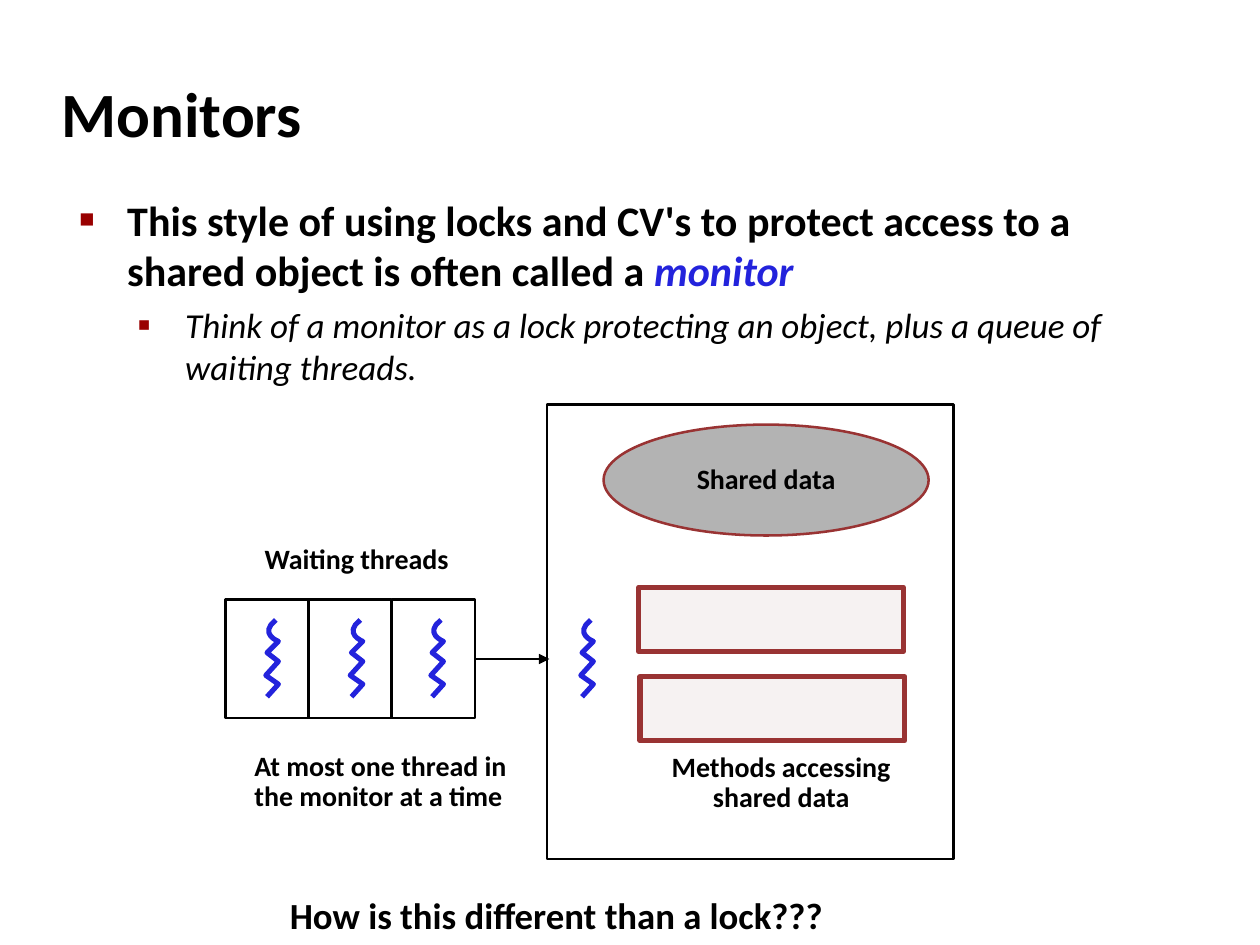
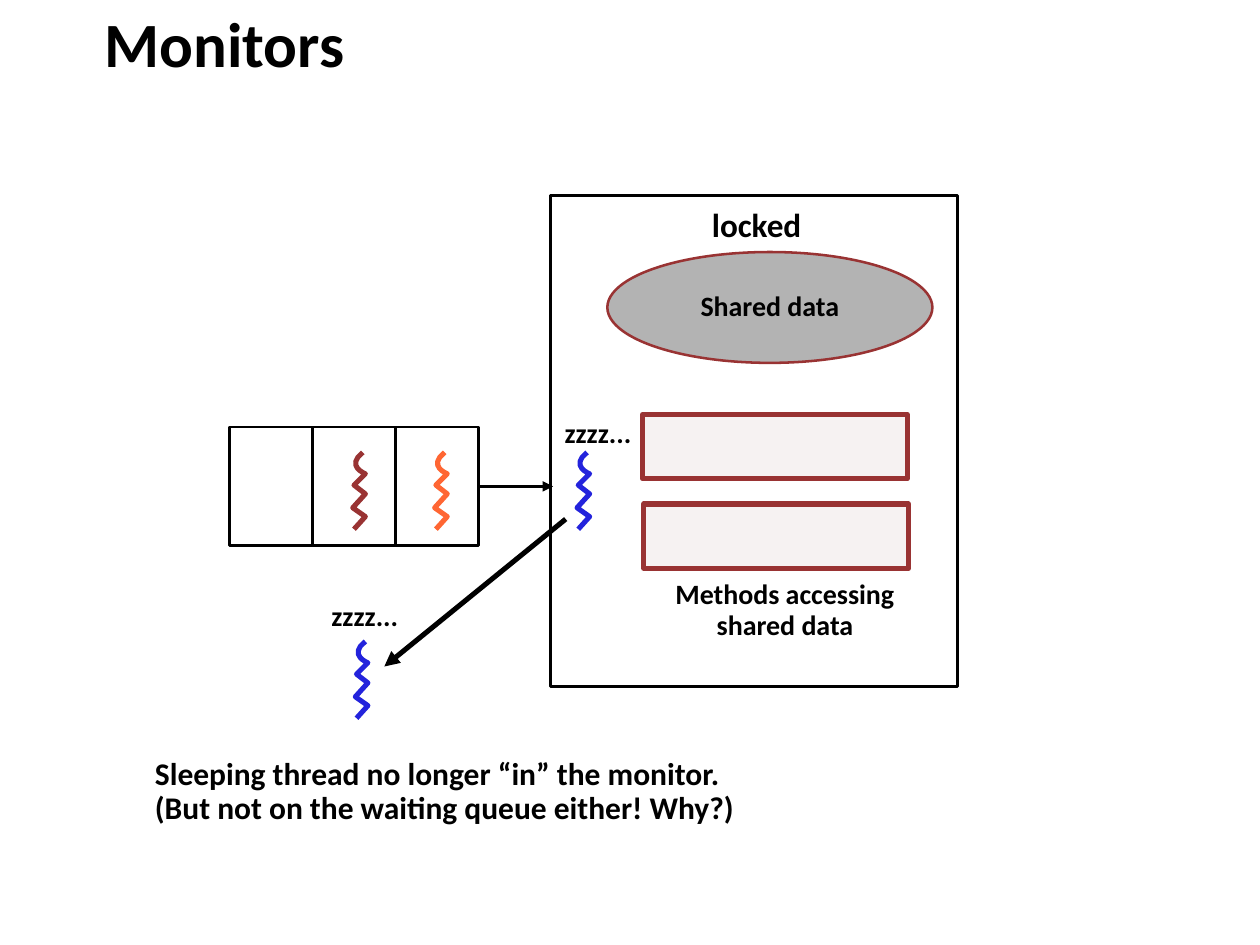
from pptx import Presentation
from pptx.dml.color import RGBColor
from pptx.enum.shapes import MSO_CONNECTOR as Conn, MSO_SHAPE as Kind
from pptx.enum.text import MSO_ANCHOR as Anchor, MSO_AUTO_SIZE as Auto, PP_ALIGN as Align
from pptx.oxml.ns import qn
from pptx.util import Inches, Pt
from lxml.etree import SubElement

# Shared style
FONT = "Calibri"
BLACK, BLUE, RED, ORANGE = "000000", "2323DC", "993333", "FF6633"
GREY, PALE, BULLET = "B3B3B3", "F6F2F2", "990000"
THIN, THICK = 1.45, 2.89

# Monitor diagram, measured from the top left of the queue
CELL = (0.66, 0.94)
CELLS = 3
BOX_X, BOX_W, BOX_END = 2.55, 3.23, 2.06
DATA = (3, -1.39, 2.58, 0.88)
METHODS = [(3.28, -0.1), (3.29, 0.61)]
METHOD = (2.1, 0.51)
LABEL = (3.35, 1.18, 2.12, 0.6)
# Squiggle: a hook as a curve, then a zigzag
HOOK = [(0.14, 0), (0, 0.11), (0.16, 0.17), (0.16, 0.17)]
ZIGZAG = [(0.07, 0.26), (0.16, 0.33), (0.06, 0.44), (0.16, 0.51), (0.07, 0.61)]

# Bullets: level, indent, size, space before, mark, mark size, runs
POINTS = [
    (0, 0.48, 24, 6, "■", 60, [
        ("This style of using locks and CV's to protect access to a "
         "shared object is often called a ", BLACK, True, False),
        ("monitor", BLUE, True, True)]),
    (1, 0.94, 20, 5, "▪", 110, [
        ("Think of a monitor as a lock protecting an object, plus a queue of "
         "waiting threads.", BLACK, False, True)]),
]

# Threads: offset and colour; notes: place, text, size, line spacing
SLIDES = [
    dict(title=(0.39, 0.48, 8.3, 0.83), body=(0.43, 1.49, 8.64, 5.44),
         points=POINTS, queue=(1.79, 4.76), rise=1.55,
         threads=[(x, 0.16, BLUE) for x in (0.26, 0.93, 1.57, 2.76)],
         notes=[((2.01, 4.29, 1.98, 0.35), "Waiting threads", 16, 0.9),
                ((1.93, 5.93, 2.33, 0.85),
                 "At most one thread in the monitor at a time", 16, 0.9),
                ((2.21, 7.04, 4.86, 0.46),
                 "How is this different than a lock???", 21, 1.02)],
         arrows=[]),
    dict(title=(0.73, 0.1, 8.54, 0.47), points=[],
         queue=(1.82, 3.39), rise=1.84,
         threads=[(0.92, 0.2, RED), (1.57, 0.2, ORANGE),
                  (2.7, 0.2, BLUE), (0.94, 1.7, BLUE)],
         notes=[((5.56, 1.61, 1.18, 0.37), "locked", 19, 0.92),
                ((4.39, 3.29, 0.82, 0.34), "zzzz...", 16, 0.9),
                ((2.54, 4.74, 0.82, 0.34), "zzzz...", 16, 0.9),
                ((1.14, 5.98, 5, 0.66),
                 "Sleeping thread no longer “in” the monitor.\n"
                 "(But not on the waiting queue either! Why?)", 18, 0.9)],
         arrows=[((4.49, 4.12), (3.05, 5.29))]),
]


def hue(code):
    return RGBColor.from_string(code)


def place(part, area):
    part.left, part.top, part.width, part.height = map(Inches, area)


def write(frame, text, size, gap=None, align=Align.LEFT):
    frame.text = text
    frame.word_wrap = True
    for para in frame.paragraphs:
        para.alignment, para.line_spacing = align, gap
        font = para.font
        font.name, font.size, font.bold = FONT, Pt(size), True
        font.color.rgb = hue(BLACK)


def inset(frame, side, top):
    frame.margin_left = frame.margin_right = Inches(side)
    frame.margin_top = frame.margin_bottom = Inches(top)


def outline(part, color, width):
    part.line.color.rgb = hue(color)
    part.line.width = Pt(width)


def shape(slide, kind, area, fill=None, color=BLACK, width=THIN):
    part = slide.shapes.add_shape(kind, *map(Inches, area))
    part.shadow.inherit = False
    if fill:
        part.fill.solid()
        part.fill.fore_color.rgb = hue(fill)
    else:
        part.fill.background()
    outline(part, color, width)
    return part


def note(slide, area, text, size, gap, align=Align.LEFT):
    frame = slide.shapes.add_textbox(*map(Inches, area)).text_frame
    inset(frame, 0.09, 0.04)
    write(frame, text, size, gap, align)


def arrow(slide, start, end, width):
    link = slide.shapes.add_connector(
        Conn.STRAIGHT, *map(Inches, (*start, *end)))
    outline(link, BLACK, width)
    SubElement(link.line._get_or_add_ln(), qn("a:tailEnd"), type="triangle")
    SubElement(link._element.spPr, qn("a:effectLst"))
    return link


def curve(points, steps=8):
    """Points along a cubic curve."""
    for i in range(steps + 1):
        t = i / steps
        parts = ((1 - t) ** 3, 3 * t * (1 - t) ** 2, 3 * t * t * (1 - t), t ** 3)
        yield tuple(sum(w * p[k] for w, p in zip(parts, points)) for k in (0, 1))


def thread(slide, x, y, color):
    first, *rest = [(Inches(x + a), Inches(y + b))
                    for a, b in [*curve(HOOK), *ZIGZAG]]
    pen = slide.shapes.build_freeform(*first)
    pen.add_line_segments(rest, close=False)
    part = pen.convert_to_shape()
    part.shadow.inherit = False
    part.fill.background()
    outline(part, color, THICK)


def bullets(body, points):
    frame = body.text_frame
    frame.auto_size = Auto.NONE
    for i, (level, indent, size, before, mark, scale, runs) in enumerate(points):
        para = frame.add_paragraph() if i else frame.paragraphs[0]
        para.level, para.space_before = level, Pt(before)
        para.font.name, para.font.size = FONT, Pt(size)
        for text, color, bold, italic in runs:
            run = para.add_run()
            run.text = text
            run.font.bold, run.font.italic = bold, italic
            run.font.color.rgb = hue(color)
        props = para._p.get_or_add_pPr()
        props.set("marL", str(Inches(indent)))
        props.set("indent", str(Inches(-0.38)))
        tint = SubElement(props, qn("a:buClr"))
        SubElement(tint, qn("a:srgbClr"), val=BULLET)
        SubElement(props, qn("a:buSzPct"), val=str(scale * 1000))
        SubElement(props, qn("a:buChar"), char=mark)
        # Character defaults come last in the paragraph properties
        props.append(props.find(qn("a:defRPr")))


def diagram(slide, x, y, rise):
    # Shared data and methods
    def at(area):
        return (x + area[0], y + area[1], *area[2:])

    data = shape(slide, Kind.OVAL, at(DATA), GREY, RED)
    inset(data.text_frame, 0.01, 0.01)
    data.text_frame.vertical_anchor = Anchor.MIDDLE
    write(data.text_frame, "Shared data", 16, 0.9, Align.CENTER)
    for spot in METHODS:
        bar = shape(slide, Kind.ROUNDED_RECTANGLE, at(spot + METHOD),
                    PALE, RED, THICK)
        bar.adjustments[0] = 0
    note(slide, at(LABEL), "Methods accessing\nshared data", 16, 0.9, Align.CENTER)
    # Monitor frame and queue
    shape(slide, Kind.RECTANGLE, at((BOX_X, -rise, BOX_W, rise + BOX_END)))
    wide, high = CELL
    for i in range(CELLS):
        cell = shape(slide, Kind.RECTANGLE, at((i * wide, 0, *CELL)))
    mid = y + high / 2
    link = arrow(slide, (x + CELLS * wide, mid), (x + BOX_X + 0.02, mid), THIN)
    link.begin_connect(cell, 3)


def build(deck, page):
    slide = deck.slides.add_slide(deck.slide_layouts[1 if page["points"] else 5])
    title = slide.shapes.title
    place(title, page["title"])
    write(title.text_frame, "Monitors", 36)
    title.text_frame.vertical_anchor = Anchor.MIDDLE
    title.text_frame.auto_size = Auto.NONE
    if page["points"]:
        body = slide.placeholders[1]
        place(body, page["body"])
        bullets(body, page["points"])
    x, y = page["queue"]
    diagram(slide, x, y, page["rise"])
    for dx, dy, color in page["threads"]:
        thread(slide, x + dx, y + dy, color)
    for item in page["notes"]:
        note(slide, *item)
    for start, end in page["arrows"]:
        arrow(slide, start, end, THICK)


def main():
    deck = Presentation()
    deck.slide_width, deck.slide_height = Inches(10), Inches(7.5)
    for page in SLIDES:
        build(deck, page)
    deck.save("out.pptx")


if __name__ == "__main__":
    main()
